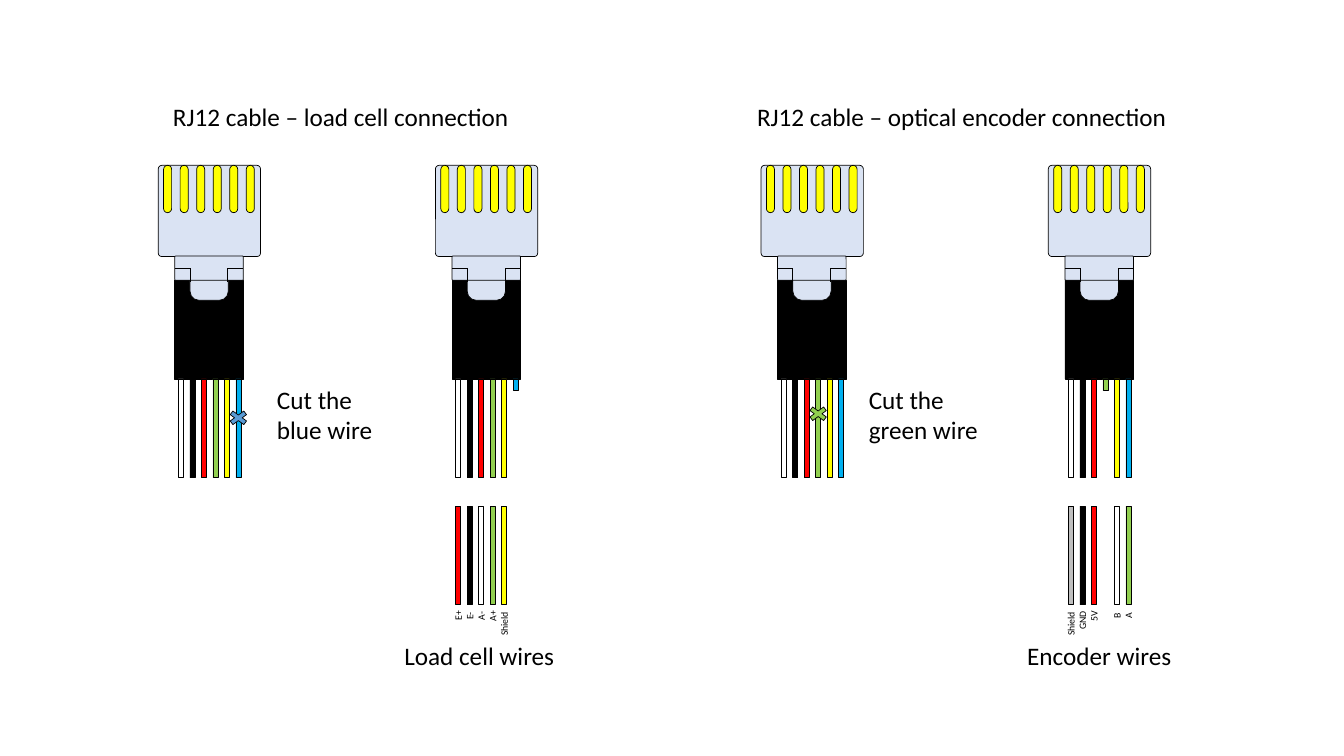
from dataclasses import dataclass

from lxml.etree import SubElement
from pptx import Presentation
from pptx.dml.color import RGBColor
from pptx.enum.shapes import MSO_CONNECTOR, MSO_SHAPE
from pptx.enum.text import MSO_ANCHOR, MSO_AUTO_SIZE, PP_ALIGN
from pptx.oxml.ns import qn
from pptx.util import Inches, Pt

# Grid of the slide: one cell is a tenth of an inch
COLUMNS, ROWS = 133.33, 75

# Vertical layout in rows
HEAD_TOP, COLLAR_TOP, BOOT_TOP = 16.4, 25.4, 27.8
WIRE_TOP, DEVICE_TOP, LABEL_TOP = 37.6, 50.2, 59.4
WIRE_LENGTH, STUB_LENGTH = 9.8, 1.15

# Horizontal layout in columns, counted from the left of a plug
CONTACT_START, CONTACT_STEP = 0.53, 1.64
WIRE_START, WIRE_STEP, WIRE_WIDTH = 2, 1.14, 0.5

CABLE = ("white", "black", "red", "green", "yellow", "blue")


@dataclass(frozen=True)
class Theme:
    colours: dict
    font: str = "Calibri"
    text_size: int = 18
    label_size: int = 7
    line_width: float = 0.5


THEME = Theme(colours={
    "white": "FFFFFF", "black": "000000", "red": "FF0000", "green": "92D050",
    "yellow": "FFFF00", "blue": "00B0F0", "grey": "BFBFBF",
    "plastic": "DAE3F3", "blue cut": "5B9BD5",
})


def apply_format(target, values):
    for name, value in values.items():
        setattr(target, name, value)


class Diagram:
    def __init__(self, deck, page, theme):
        self.page, self.theme = page, theme
        self.column = deck.slide_width / COLUMNS
        self.row = deck.slide_height / ROWS

    def colour(self, name):
        return RGBColor.from_string(self.theme.colours[name])

    def frame(self, left, top, width, height):
        return (round(left * self.column), round(top * self.row),
                round(width * self.column), round(height * self.row))

    def outline(self, item):
        item.line.color.rgb = self.colour("black")
        item.line.width = Pt(self.theme.line_width)

    def shape(self, kind, place, fill, corner=None):
        item = self.page.shapes.add_shape(kind, *self.frame(*place))
        item.shadow.inherit = False
        item.fill.solid()
        item.fill.fore_color.rgb = self.colour(fill)
        self.outline(item)
        if corner is not None:
            item.adjustments[0] = corner
        return item

    def block(self, place, fill, corner=0):
        return self.shape(MSO_SHAPE.ROUNDED_RECTANGLE, place, fill, corner)

    def line(self, left, top, right, bottom):
        x1, y1, x2, y2 = self.frame(left, top, right, bottom)
        item = self.page.shapes.add_connector(MSO_CONNECTOR.STRAIGHT, x1, y1, x2, y2)
        self.outline(item)
        SubElement(item.element.spPr, qn("a:effectLst"))
        return item

    def fill_text(self, box, text, size, align):
        apply_format(box.text_frame, {
            "word_wrap": True, "auto_size": MSO_AUTO_SIZE.NONE,
            "vertical_anchor": MSO_ANCHOR.TOP})
        para = box.text_frame.paragraphs[0]
        apply_format(para, {"alignment": align, "space_before": Pt(0)})
        span = para.add_run()
        span.text = text
        apply_format(span.font, {"name": self.theme.font, "size": Pt(size), "bold": False})
        span.font.color.rgb = self.colour("black")

    def heading(self, index, text, place):
        box = self.page.placeholders[index]
        apply_format(box, dict(zip(("left", "top", "width", "height"), self.frame(*place))))
        self.fill_text(box, text, self.theme.text_size, PP_ALIGN.CENTER)

    def text(self, text, place, align=PP_ALIGN.LEFT):
        box = self.page.shapes.add_textbox(*self.frame(*place))
        self.fill_text(box, text, self.theme.text_size, align)

    def label(self, text, centre, length):
        height = 2.2
        place = (centre - length / 2, LABEL_TOP + (length - height) / 2, length, height)
        box = self.page.shapes.add_textbox(*self.frame(*place))
        box.rotation = 270
        self.fill_text(box, text, self.theme.label_size, PP_ALIGN.CENTER)

    def wire(self, plug, slot, top, fill, length=WIRE_LENGTH):
        left = plug + WIRE_START + slot * WIRE_STEP
        self.block((left, top, WIRE_WIDTH, length), fill)
        return left + WIRE_WIDTH / 2

    def plug(self, left, short_wire=None):
        # Boot, latch and head
        self.block((left + 1.64, BOOT_TOP, 6.8, 9.8), "black")
        self.block((left + 3.15, 24.5, 3.8, 5.3), "plastic", 0.24)
        self.block((left, HEAD_TOP, 10.15, 9.05), "plastic", 0.04)
        for number in range(6):
            contact = left + CONTACT_START + number * CONTACT_STEP
            self.block((contact, HEAD_TOP, 0.8, 4.7), "yellow", 0.5)
        # Collar with the latch outline
        collar = self.block((left + 1.64, COLLAR_TOP, 6.8, 2.4), "plastic", 0.04)
        middle = COLLAR_TOP + 1.2
        inner_left, inner_right = left + 3.15, left + 6.9
        self.line(left + 1.64, middle, inner_left, middle).begin_connect(collar, 1)
        self.line(inner_right, middle, left + 8.44, middle).end_connect(collar, 3)
        for edge in (inner_left, inner_right):
            self.line(edge, middle, edge, middle + 1.4)
        # Wires of the cable
        for slot, fill in enumerate(CABLE):
            length = STUB_LENGTH if fill == short_wire else WIRE_LENGTH
            self.wire(left, slot, WIRE_TOP, fill, length)

    def cut(self, plug, wire, fill, top):
        centre = plug + WIRE_START + CABLE.index(wire) * WIRE_STEP + WIRE_WIDTH / 2
        self.shape(MSO_SHAPE.MATH_MULTIPLY, (centre - 1.3, top, 2.6, 1.9), fill)

    def device(self, plug, wires):
        for slot, fill, name, length in wires:
            centre = self.wire(plug, slot, DEVICE_TOP, fill)
            self.label(name, centre, length)


# Each device wire: slot, colour, label, label length
CONNECTIONS = (
    {"heading": (1, "RJ12 cable – load cell connection", (12.7, 9.5, 42.2, 4)),
     "plugs": (15.7, 43.2), "wire": "blue", "mark": ("blue cut", 40.5),
     "note": ("Cut the blue wire", (26.5, 37.6, 12.6, 7.1)),
     "device": ((0, "red", "E+", 3.4), (1, "black", "E-", 3.4), (2, "white", "A-", 3.4),
                (3, "green", "A+", 3.4), (4, "yellow", "Shield", 5)),
     "caption": ("Load cell wires", (37.8, 63, 19.5, 4))},
    {"heading": (3, "RJ12 cable – optical encoder connection", (70.2, 9.55, 50.4, 4)),
     "plugs": (75.5, 104), "wire": "green", "mark": ("green", 40.1),
     "note": ("Cut the green wire", (85.2, 37.6, 14.3, 7.1)),
     "device": ((0, "grey", "Shield", 5), (1, "black", "GND", 4.3), (2, "red", "5V", 3.5),
                (4, "white", "B", 3.4), (5, "green", "A", 3.4)),
     "caption": ("Encoder wires", (99.3, 63, 19.5, 4))},
)


def main():
    deck = Presentation()
    deck.slide_width, deck.slide_height = Inches(13.33), Inches(7.5)
    page = deck.slides.add_slide(deck.slide_layouts.get_by_name("Comparison"))
    diagram = Diagram(deck, page, THEME)

    for connection in CONNECTIONS:
        whole, trimmed = connection["plugs"]
        diagram.heading(*connection["heading"])
        # Cable before the cut
        diagram.plug(whole)
        diagram.cut(whole, connection["wire"], *connection["mark"])
        diagram.text(*connection["note"])
        # Cable after the cut, with the device below
        diagram.plug(trimmed, connection["wire"])
        diagram.device(trimmed, connection["device"])
        diagram.text(*connection["caption"], PP_ALIGN.CENTER)

    # Unused placeholders
    for box in list(page.placeholders):
        if not box.text_frame.text:
            box.element.getparent().remove(box.element)
    deck.save("out.pptx")


if __name__ == "__main__":
    main()
